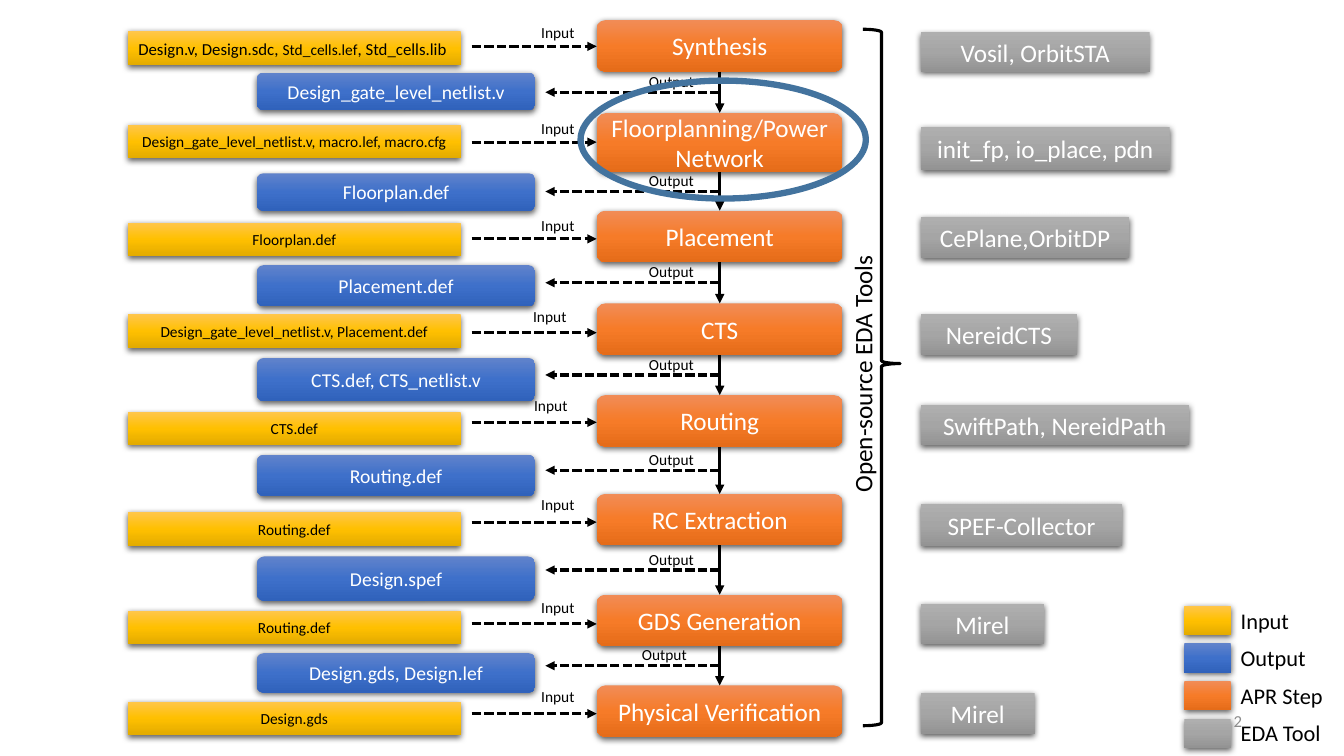
from copy import deepcopy
from dataclasses import dataclass
from typing import NamedTuple, Optional

from pptx import Presentation
from pptx import util as u
from pptx.dml import color
from pptx.enum import dml, shapes, text
from pptx.oxml import ns, parse_xml

# Grid of square cells, ten to the inch; every length below counts cells.
COLUMNS, ROWS = 133.33, 75
FONT = "Calibri"
BLACK, WHITE, PAGE_GREY, RING_BLUE = "000000", "FFFFFF", "8C8C8C", "43739E"

STEP_LEFT, STEP_WIDTH = 59.2, 24.4
SPINE = STEP_LEFT + STEP_WIDTH / 2
INPUT_LEFT, INPUT_WIDTH = 12.7, 33
INPUT_FLOW_START = 46.8
OUTPUT_LEFT, OUTPUT_WIDTH, OUTPUT_FLOW_END = 25.5, 27.6, 54.1
TOOL_LEFT = 91.35
LEGEND_LEFT, LEGEND_TOP, LEGEND_PITCH = 117.5, 60.1, 3.73


class Run(NamedTuple):
    words: str
    size: float


class Area(NamedTuple):
    left: float
    top: float
    width: float
    height: float


class Span(NamedTuple):
    top: float
    height: float


@dataclass(frozen=True)
class Kind:
    """Look of one family of blocks, as explained in the legend."""
    label: str
    gradient: tuple[str, str, str]
    outline: shapes.MSO_SHAPE
    ink: str


@dataclass(frozen=True)
class Stage:
    """One step of the flow with its files and tool."""
    step: str
    step_span: Span
    inputs: tuple[Run, ...]
    input_span: Span
    input_flow: float
    input_label: tuple[float, float]
    tool: str
    tool_span: Span
    tool_width: float
    output: Optional[str] = None
    output_span: Optional[Span] = None


RECT, ROUNDED = shapes.MSO_SHAPE.RECTANGLE, shapes.MSO_SHAPE.ROUNDED_RECTANGLE
INPUT = Kind("Input", ("FFC64B", "FFC000", "E3AB00"), RECT, BLACK)
OUTPUT = Kind("Output", ("6183CB", "3E70CA", "3062BB"), ROUNDED, WHITE)
STEP = Kind("APR Step", ("F18C57", "F67B28", "E56C19"), ROUNDED, WHITE)
TOOL = Kind("EDA Tool", ("AFAFAF", "A5A5A5", "939393"), RECT, WHITE)

STAGES = (
    Stage("Synthesis", Span(2, 5.1),
          (Run("Design.v, Design.sdc, ", 12), Run("Std_cells.lef", 11), Run(", Std_cells.lib ", 12)),
          Span(3.1, 3.4), 4.6, (52.7, 1.8), "Vosil, OrbitSTA", Span(3.2, 3.9), 22.7,
          "Design_gate_level_netlist.v", Span(7.2, 3.7)),
    Stage("Floorplanning/Power Network", Span(11.2, 5.9),
          (Run("Design_gate_level_netlist.v, macro.lef, macro.cfg", 11),),
          Span(12.4, 3.3), 14.1, (52.7, 11.3), "init_fp, io_place, pdn", Span(12.6, 4.3), 24.7,
          "Floorplan.def", Span(17.2, 3.7)),
    Stage("Placement", Span(20.9, 5.1), (Run("Floorplan.def", 11),),
          Span(22.1, 3.3), 23.7, (52.7, 20.9), "CePlane,OrbitDP", Span(21.5, 4.1), 20.7,
          "Placement.def", Span(26.3, 4.1)),
    Stage("CTS", Span(30.1, 5.1), (Run("Design_gate_level_netlist.v, Placement.def", 11),),
          Span(31.2, 3.3), 33, (51.9, 30), "NereidCTS", Span(31.2, 4), 15.5,
          "CTS.def, CTS_netlist.v", Span(35.5, 4.3)),
    Stage("Routing", Span(39.2, 5.1), (Run("CTS.def", 11),),
          Span(40.9, 3.2), 41.9, (52, 38.8), "SwiftPath, NereidPath", Span(40.2, 4), 26.6,
          "Routing.def", Span(45.1, 4.1)),
    Stage("RC Extraction", Span(49, 5.1), (Run("Routing.def", 11),),
          Span(50.8, 3.4), 51.8, (52.7, 48.6), "SPEF-Collector", Span(50, 4.2), 20,
          "Design.spef", Span(55.2, 4.4)),
    Stage("GDS Generation", Span(59, 5.1), (Run("Routing.def", 11),),
          Span(60.6, 3.3), 61.9, (52.7, 58.8), "Mirel", Span(59.9, 4), 12.2,
          "Design.gds, Design.lef", Span(64.8, 3.9)),
    Stage("Physical Verification", Span(68, 5.1), (Run("Design.gds", 11),),
          Span(69.6, 3.3), 70.8, (52.7, 67.7), "Mirel", Span(68.7, 4.1), 11.3),
)


def cells(count: float) -> u.Emu:
    return u.Inches(count / 10)


def rgb(code: str) -> color.RGBColor:
    return color.RGBColor.from_string(code)


def write(frame, runs: tuple[Run, ...], ink: str, align, **layout) -> None:
    for name, value in {"word_wrap": True, **layout}.items():
        setattr(frame, name, value)
    paragraph = frame.paragraphs[0]
    paragraph.alignment = align
    for words, size in runs:
        run = paragraph.add_run()
        run.text = words
        for name, value in {"name": FONT, "size": u.Pt(size)}.items():
            setattr(run.font, name, value)
        run.font.color.rgb = rgb(ink)


def add_label(slide, area: Area, words: str, size: float, ink: str = BLACK,
              align=text.PP_ALIGN.LEFT, anchor=text.MSO_ANCHOR.TOP):
    label = slide.shapes.add_textbox(*map(cells, area))
    write(label.text_frame, (Run(words, size),), ink, align, vertical_anchor=anchor)
    return label


def add_block(slide, kind: Kind, area: Area, runs: tuple[Run, ...] = (), outline=None) -> None:
    """Add a shaded block with a soft shadow below it."""
    block = slide.shapes.add_shape(outline or kind.outline, *map(cells, area))
    block.line.fill.background()
    block.fill.gradient()
    block.fill.gradient_angle = 270
    first_stop = next(block._element.iter(ns.qn("a:gs")))
    first_stop.addnext(deepcopy(first_stop))
    for stop, position, shade in zip(block.fill.gradient_stops, (0, 0.5, 1), kind.gradient):
        stop.position = position
        stop.color.rgb = rgb(shade)
    block.shadow.inherit = False
    block._element.spPr.find(ns.qn("a:effectLst")).append(parse_xml(
        f'<a:outerShdw {ns.nsdecls("a")} blurRad="{u.Pt(4.5)}" dist="{u.Pt(1.5)}" dir="5400000" '
        'algn="ctr" rotWithShape="0"><a:srgbClr val="000000"><a:alpha val="63000"/>'
        '</a:srgbClr></a:outerShdw>'))
    write(block.text_frame, runs, kind.ink, text.PP_ALIGN.CENTER,
          vertical_anchor=text.MSO_ANCHOR.MIDDLE)


def add_arrow(slide, start: tuple[float, float], end: tuple[float, float], dash=None) -> None:
    arrow = slide.shapes.add_connector(shapes.MSO_CONNECTOR.STRAIGHT, *map(cells, start + end))
    arrow.line.color.rgb = rgb(BLACK)
    for name, value in {"width": u.Pt(2.25), "dash_style": dash}.items():
        setattr(arrow.line, name, value)
    arrow.get_or_add_ln().append(parse_xml(f'<a:tailEnd {ns.nsdecls("a")} type="triangle"/>'))
    arrow._element.spPr.append(parse_xml(f'<a:effectLst {ns.nsdecls("a")}/>'))


def add_outline(slide, outline, area: Area, ink: str, weight: float):
    drawn = slide.shapes.add_shape(outline, *map(cells, area))
    drawn.fill.background()
    drawn.line.color.rgb = rgb(ink)
    drawn.line.width = u.Pt(weight)
    drawn.shadow.inherit = False
    return drawn


def add_stage_blocks(slide, stage: Stage) -> None:
    add_block(slide, STEP, Area(STEP_LEFT, stage.step_span.top, STEP_WIDTH, stage.step_span.height),
              (Run(stage.step, 18),))
    add_block(slide, TOOL, Area(TOOL_LEFT, stage.tool_span.top, stage.tool_width,
                                stage.tool_span.height), (Run(stage.tool, 18),))
    add_block(slide, INPUT, Area(INPUT_LEFT, stage.input_span.top, INPUT_WIDTH,
                                 stage.input_span.height), stage.inputs)
    if stage.output:
        add_block(slide, OUTPUT, Area(OUTPUT_LEFT, stage.output_span.top, OUTPUT_WIDTH,
                                      stage.output_span.height), (Run(stage.output, 14),))


def add_stage_flows(slide, stage: Stage, following: Optional[Stage]) -> None:
    dashed = dml.MSO_LINE.SQUARE_DOT
    add_arrow(slide, (INPUT_FLOW_START, stage.input_flow), (STEP_LEFT, stage.input_flow), dashed)
    add_label(slide, Area(*stage.input_label, 6.5, 2.9), INPUT.label, 11)
    if following:
        bottom, next_top = sum(stage.step_span), following.step_span.top
        middle = (bottom + next_top) / 2
        add_arrow(slide, (SPINE, bottom), (SPINE, next_top))
        add_arrow(slide, (SPINE, middle), (OUTPUT_FLOW_END, middle), dashed)
        label_left = 63.4 if following is not STAGES[-1] else 62.7
        add_label(slide, Area(label_left, middle - 2.5, 9, 2.9), OUTPUT.label, 11)


def main() -> None:
    deck = Presentation()
    deck.slide_width, deck.slide_height = cells(COLUMNS), cells(ROWS)
    slide = deck.slides.add_slide(deck.slide_layouts[6])

    for stage in STAGES:
        add_stage_blocks(slide, stage)
    for stage, following in zip(STAGES, STAGES[1:] + (None,)):
        add_stage_flows(slide, stage, following)

    brace = add_outline(slide, shapes.MSO_SHAPE.RIGHT_BRACE, Area(85.6, 2.9, 3.7, 69.1), BLACK, 2.25)
    brace.adjustments[0], brace.adjustments[1] = 0.08, 0.48
    add_label(slide, Area(66, 28.3, 39.1, 4), "Open-source EDA Tools", 18).rotation = 270

    for row, kind in enumerate((INPUT, OUTPUT, STEP, TOOL)):
        top = LEGEND_TOP + row * LEGEND_PITCH
        add_block(slide, kind, Area(LEGEND_LEFT, top, 4.6, 2.9), outline=RECT)
        add_label(slide, Area(LEGEND_LEFT + 4.6, top - 0.4, 13.2, 3.7), kind.label, 16)

    add_outline(slide, shapes.MSO_SHAPE.OVAL, Area(57.6, 8, 28.3, 11.7), RING_BLUE, 4.5)
    add_label(slide, Area(94.2, 69.5, 30, 4), "2", 12, PAGE_GREY,
              text.PP_ALIGN.RIGHT, text.MSO_ANCHOR.MIDDLE)
    deck.save("out.pptx")


if __name__ == "__main__":
    main()
